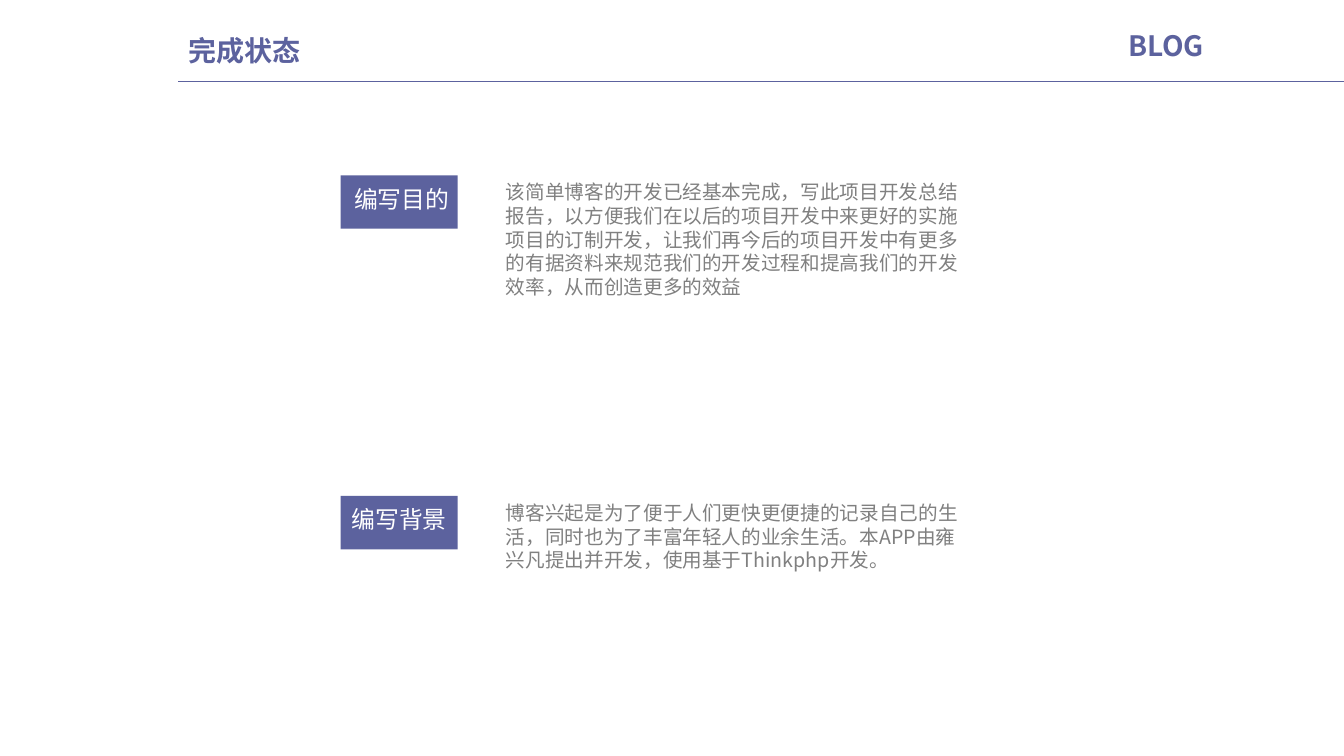
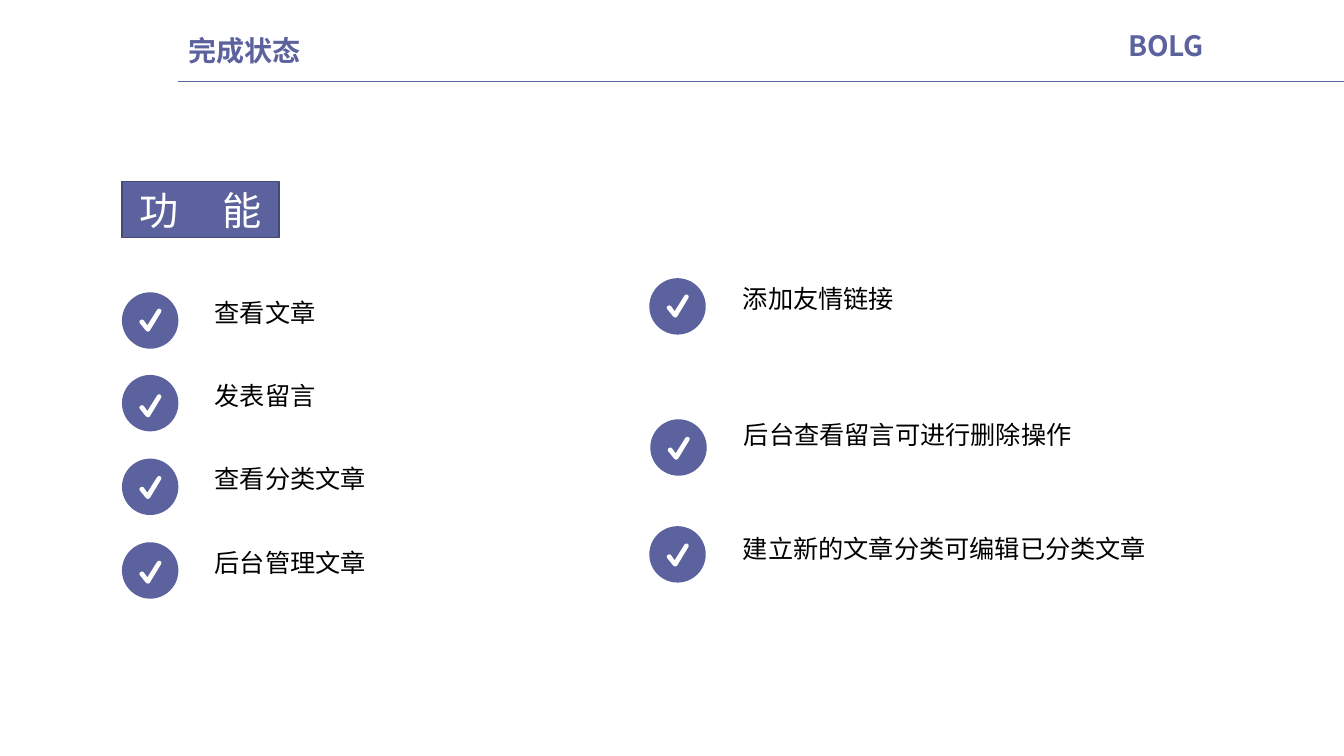
"""Build two blog project slides: completion status and feature list."""
import pptx
import pptx.dml.color
import pptx.enum.shapes
import pptx.enum.text
import pptx.util
from lxml import etree

PX = 9144
FONT = "Noto Sans CJK SC"
COLORS = {"accent": "5C629E", "edge": "444975", "body": "808080",
          "black": "000000", "white": "FFFFFF"}
RGB = {name: pptx.dml.color.RGBColor.from_string(value) for name, value in COLORS.items()}
SHAPES = pptx.enum.shapes.MSO_SHAPE
ALIGN = pptx.enum.text.PP_ALIGN
ANCHOR = pptx.enum.text.MSO_ANCHOR
NS = pptx.oxml.ns.qn


def write(box, text, size, color, bold=False, align=None, middle=False, wrap=True, font=FONT):
    """Put one styled paragraph into a box and return it."""
    frame = box.text_frame
    frame.text = text
    frame.word_wrap = wrap
    frame.vertical_anchor = ANCHOR.MIDDLE if middle else ANCHOR.TOP
    para = frame.paragraphs[0]
    para.alignment = align
    for span in para.runs:
        span.font.size = pptx.util.Pt(size)
        span.font.bold = bold
        span.font.color.rgb = RGB[color]
        span.font.name = font
        etree.SubElement(span.font._element if hasattr(span.font, "_element")
                         else span._r.get_or_add_rPr(), NS("a:ea"), typeface=FONT)
    return para


def paint(shape, fill, edge=None):
    """Give a shape a flat fill and an optional outline."""
    shape.shadow.inherit = False
    shape.fill.solid()
    shape.fill.fore_color.rgb = RGB[fill]
    if edge:
        shape.line.color.rgb = RGB[edge]
        shape.line.width = pptx.util.Pt(1)
    else:
        shape.line.fill.background()
    return shape


deck = pptx.Presentation()
deck.slide_width, deck.slide_height = 1333 * PX, 750 * PX
pages = []
for brand in ("BLOG", "BOLG"):
    page = deck.slides.add_slide(deck.slide_layouts[6])
    pages.append(page)
    rule = page.shapes.add_connector(pptx.enum.shapes.MSO_CONNECTOR.STRAIGHT,
                                     177 * PX, 81 * PX, 1333 * PX, 81 * PX)
    rule.line.color.rgb = RGB["accent"]
    rule.line.width = pptx.util.Pt(0.5)
    etree.SubElement(rule._element.spPr, NS("a:effectLst"))
    brand_box = page.shapes.add_textbox(1109 * PX, 18 * PX, 98 * PX, 47 * PX)
    write(brand_box, brand, 20, "accent", bold=True, middle=True, wrap=False).line_spacing = 1.2
    title_box = page.shapes.add_textbox(177 * PX, 13 * PX, 281 * PX, 73 * PX)
    write(title_box, "完成状态", 20, "accent", bold=True, align=ALIGN.JUSTIFY, middle=True)

status_page, feature_page = pages

sections = [
    (174, 128, " 编写目的",
     "该简单博客的开发已经基本完成，写此项目开发总结报告，以方便我们在以后的项目开发中来更好的实施"
     "项目的订制开发，让我们再今后的项目开发中有更多的有据资料来规范我们的开发过程和提高我们的开发"
     "效率，从而创造更多的效益"),
    (492, 104, "编写背景",
     "博客兴起是为了便于人们更快更便捷的记录自己的生活，同时也为了丰富年轻人的业余生活。"
     "本APP由雍兴凡提出并开发，使用基于Thinkphp开发。"),
]
for top, height, heading, body in sections:
    label = paint(status_page.shapes.add_shape(SHAPES.RECTANGLE, 338 * PX, top * PX,
                                               116 * PX, 53 * PX), "accent")
    write(label, heading, 17, "white", align=ALIGN.CENTER, middle=True, wrap=False,
          font="Roboto Condensed")
    frame = label.text_frame
    frame.margin_left = frame.margin_right = 13 * PX
    frame.margin_top, frame.margin_bottom = 0, 7 * PX
    body_box = status_page.shapes.add_textbox(492 * PX, top * PX, 477 * PX, height * PX)
    write(body_box, body, 14, "body")

banner = paint(feature_page.shapes.add_shape(SHAPES.RECTANGLE, 121 * PX, 180 * PX,
                                             156 * PX, 56 * PX), "accent", "edge")
banner_para = write(banner, "功 ", 28, "white", align=ALIGN.CENTER, middle=True)
banner_para.runs[0]._r.get_or_add_rPr().set("spc", "1250")
last_span = banner_para.add_run()
last_span.text = "能"
last_span.font.size = pptx.util.Pt(28)
last_span.font.color.rgb = RGB["white"]
last_span.font.name = FONT
etree.SubElement(last_span._r.get_or_add_rPr(), NS("a:ea"), typeface=FONT)

left_items = [("查看文章", 306), ("发表留言", 391), ("查看分类文章", 472), ("后台管理文章", 556)]
features = []
for row, (text, tick_top) in enumerate(left_items):
    top = 290 + row * 248 // 3
    features.append((text, 121, top, tick_top, 203, top, 21 + 25 * len(text), False))
features += [
    ("添加友情链接", 644, 276, 292, 727, 276, 490, True),
    ("后台查看留言可进行删除操作", 645, 416, 433, 728, 411, 490, True),
    ("建立新的文章分类可编辑已分类文章", 644, 522, 539, 727, 524, 490, True),
]
tick_points = [(75, 225), (65, 217), (8, 146), (3, 133), (8, 120), (20, 112), (34, 110),
               (46, 118), (82, 168), (178, 15), (190, 4), (205, 3), (217, 12), (221, 25),
               (217, 38), (108, 218), (98, 227)]
for text, left, top, tick_top, text_left, text_top, width, wrap in features:
    paint(feature_page.shapes.add_shape(SHAPES.OVAL, left * PX, top * PX, 56 * PX, 56 * PX),
          "accent")
    outline = feature_page.shapes.build_freeform(88, 230, PX / 10)
    outline.add_line_segments(tick_points, close=True)
    paint(outline.convert_to_shape((left + 17) * PX, tick_top * PX), "white")
    text_box = feature_page.shapes.add_textbox(text_left * PX, text_top * PX, width * PX, 40 * PX)
    write(text_box, text, 18, "black", wrap=wrap)

deck.save("out.pptx")
